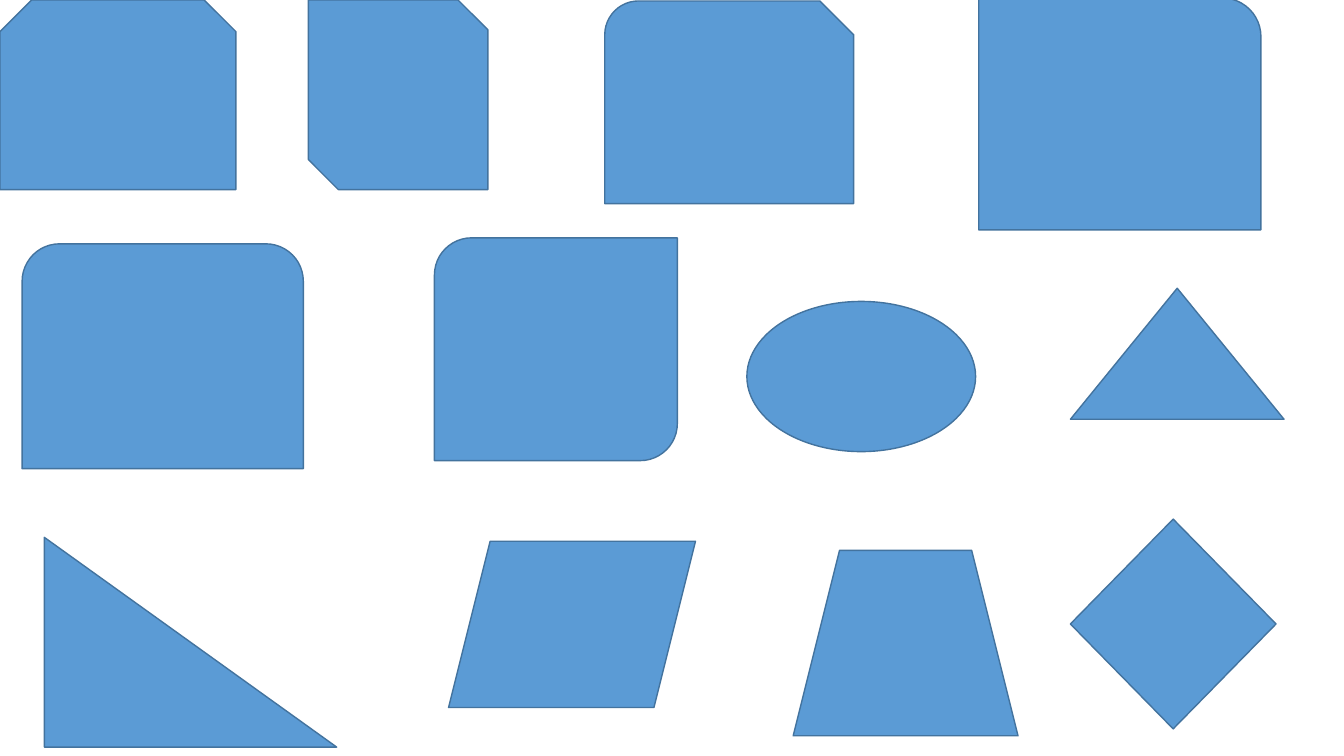
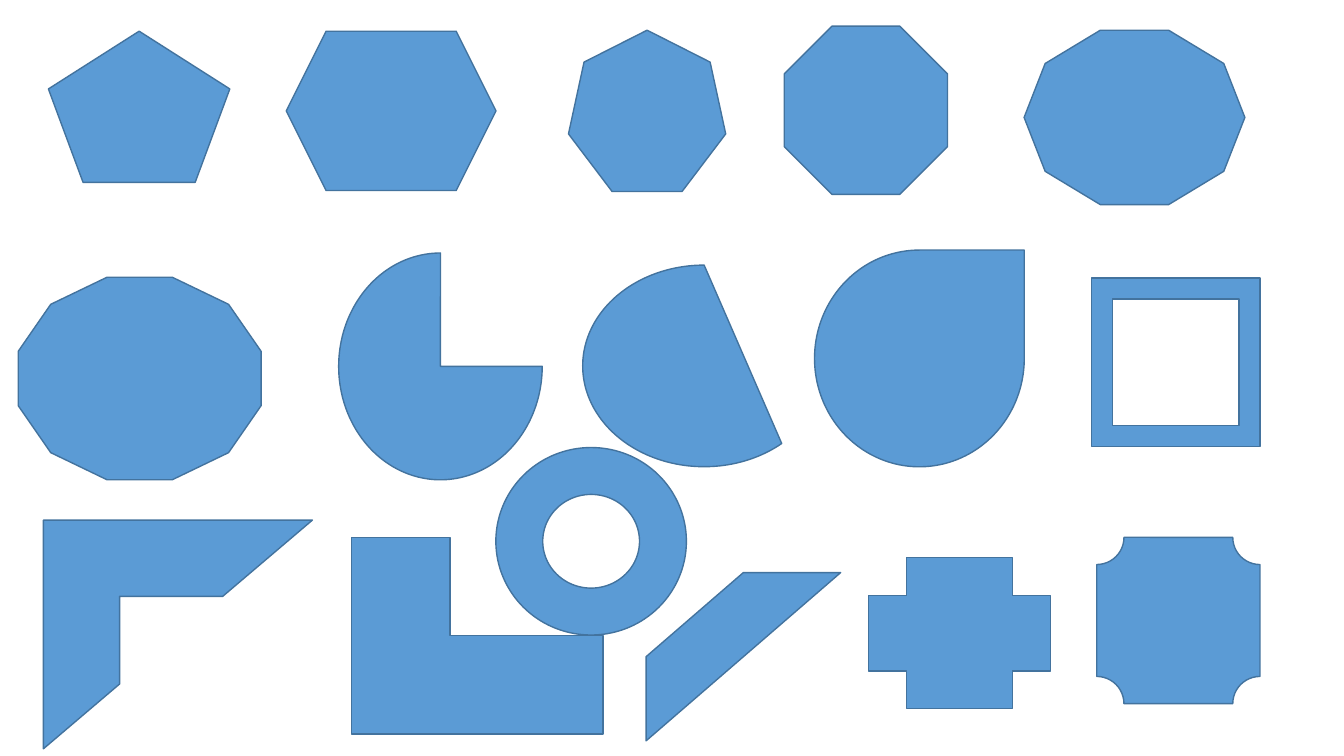
from pptx import Presentation
from pptx.dml.color import RGBColor as Rgb
from pptx.enum.shapes import MSO_SHAPE as Geo
from pptx.util import Pt

COLORS = {"fill": "5B9BD5", "edge": "43739E", "back": "FFFFFF"}


class Deck:
    def __init__(self, width, height):
        self.prs = Presentation()
        self.prs.slide_width = Pt(width)
        self.prs.slide_height = Pt(height)
        self.slide = None

    def paint(self, fill, name):
        fill.solid()
        fill.fore_color.rgb = Rgb.from_string(COLORS[name])

    def page(self):
        self.slide = self.prs.slides.add_slide(self.prs.slide_layouts[6])
        self.paint(self.slide.background.fill, "back")

    def shape(self, kind, *box):
        item = self.slide.shapes.add_shape(kind, *map(Pt, box))
        item.shadow.inherit = False
        self.paint(item.fill, "fill")
        item.line.color.rgb = Rgb.from_string(COLORS["edge"])
        item.line.width = Pt(1)

    def save(self):
        self.prs.save("out.pptx")


BASIC = [
    (Geo.SNIP_2_SAME_RECTANGLE, 0, 0, 168.5, 135.4),
    (Geo.SNIP_2_DIAG_RECTANGLE, 220.3, 0, 128.2, 135.4),
    (Geo.SNIP_ROUND_RECTANGLE, 432, 0.7, 177.8, 144.7),
    (Geo.ROUND_1_RECTANGLE, 699.1, -1.4, 201.6, 165.6),
    (Geo.ROUND_2_SAME_RECTANGLE, 15.8, 174.2, 200.9, 160.6),
    (Geo.ROUND_2_DIAG_RECTANGLE, 310.3, 169.9, 173.5, 159.1),
    (Geo.OVAL, 533.5, 215.3, 163.4, 107.3),
    (Geo.ISOSCELES_TRIANGLE, 764.6, 205.9, 152.6, 93.6),
    (Geo.RIGHT_TRIANGLE, 31.7, 383.8, 208.8, 149.8),
    (Geo.PARALLELOGRAM, 320.4, 386.6, 176.4, 118.8),
    (Geo.TRAPEZOID, 566.6, 393.1, 160.6, 132.5),
    (Geo.DIAMOND, 764.6, 370.8, 146.9, 149.8),
]

MIXED = [
    (Geo.REGULAR_PENTAGON, 34.6, 22.3, 129.6, 108),
    (Geo.HEXAGON, 204.5, 22.3, 149.8, 113.8),
    (Geo.HEPTAGON, 406.1, 21.6, 112.3, 115.2),
    (Geo.OCTAGON, 560.2, 18.7, 116.6, 120.2),
    (Geo.DECAGON, 731.5, 21.6, 157.7, 124.6),
    (Geo.DODECAGON, 13, 198, 173.5, 144.7),
    (Geo.PIE, 241.9, 180.7, 145.4, 162),
    (Geo.CHORD, 416.2, 189.4, 173.5, 144),
    (Geo.TEAR, 581.8, 178.6, 149.8, 154.8),
    (Geo.FRAME, 779.8, 198.7, 120.2, 120.2),
    (Geo.HALF_FRAME, 31, 371.5, 192.2, 163.4),
    (Geo.CORNER, 251.3, 383.8, 179.3, 140.4),
    (Geo.DIAGONAL_STRIPE, 461.5, 409, 139, 120.2),
    (Geo.CROSS, 620.6, 398.2, 129.6, 108),
    (Geo.PLAQUE, 783.4, 383.8, 116.6, 118.8),
    (Geo.DONUT, 354.2, 319.7, 136.1, 133.9),
]

deck = Deck(960, 540)
for group in (BASIC, MIXED):
    deck.page()
    for entry in group:
        deck.shape(*entry)
deck.save()
